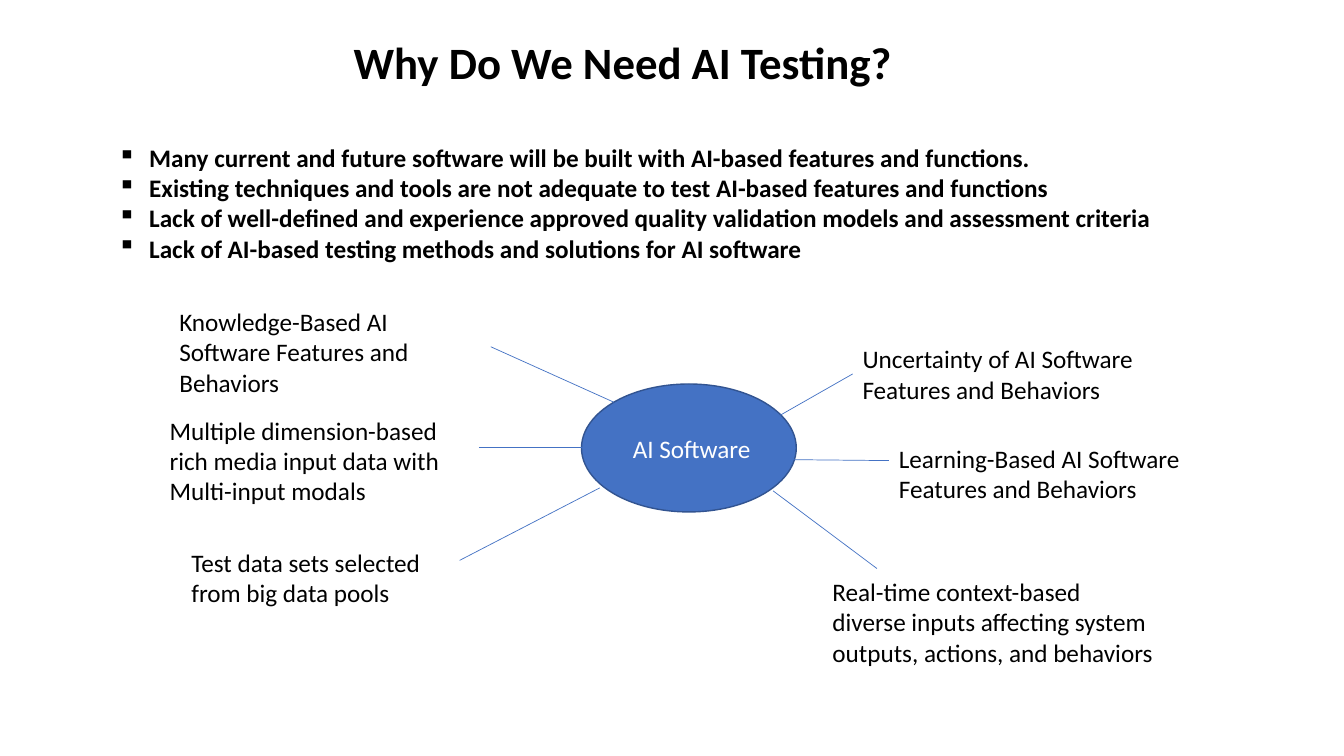
from dataclasses import dataclass

from lxml.etree import SubElement
from pptx import Presentation
from pptx.dml.color import RGBColor as Rgb
from pptx.enum.shapes import MSO_CONNECTOR as Link, MSO_SHAPE as Form
from pptx.enum.text import MSO_ANCHOR as Anchor, MSO_AUTO_SIZE as Fit, PP_ALIGN as Align
from pptx.oxml.ns import qn
from pptx.util import Pt


@dataclass(frozen=True)
class Theme:
    font: str = "Calibri"
    ink: str = "000000"
    pale: str = "FFFFFF"
    blue: str = "4472C4"
    edge: str = "325491"
    head: float = 32
    body: float = 18
    indent: float = 22.5
    rim: float = 1
    thin: float = 0.5


THEME = Theme()

POINTS = [
    "Many current and future software will be built with AI-based features and functions.",
    "Existing techniques and tools are not adequate to test AI-based features and functions",
    "Lack of well-defined and experience approved quality validation models and assessment criteria",
    "Lack of AI-based testing methods and solutions for AI software",
]

LABELS = [
    (495, 27, 223, ["Uncertainty of AI Software", "Features and Behaviors"]),
    (521, 98.2, 237, ["Learning-Based AI Software", "Features and Behaviors"]),
    (7, 0.3, 275, ["Knowledge-Based AI", "Software Features and", "Behaviors"]),
    (0, 78, 220, ["Multiple dimension-based", "rich media input data with", "Multi-input modals"]),
    (15.6, 172.4, 190, ["Test data sets selected", "from big data pools"]),
    (473.5, 193.2, 267, ["Real-time context-based", "diverse inputs affecting system",
                         "outputs, actions, and behaviors"]),
]

SPOKES = [
    (236.6, 32.7, 324.5, 72.3),
    (443.3, 81.6, 495.1, 52.1),
    (446.9, 113.3, 521, 114),
    (438.2, 135.6, 512.4, 191.1),
    (214.3, 185.3, 314.4, 133.5),
    (228, 104.7, 301.4, 104.7),
]


def write(frame, lines, size=THEME.body, color=THEME.ink, bold=False,
          align=Align.LEFT, bullet=None):
    frame.word_wrap = True
    for i, line in enumerate(lines):
        para = frame.paragraphs[0] if i == 0 else frame.add_paragraph()
        para.alignment = align
        run = para.add_run()
        run.text = line
        font = run.font
        font.name, font.size, font.bold = THEME.font, Pt(size), bold
        font.color.rgb = Rgb.from_string(color)
        if bullet:
            props = para._p.get_or_add_pPr()
            props.set("marL", str(Pt(THEME.indent)))
            props.set("indent", str(-Pt(THEME.indent)))
            SubElement(props, qn("a:buChar")).set("char", bullet)


def add_text(slide, box, lines, **style):
    frame = slide.shapes.add_textbox(*map(Pt, box)).text_frame
    write(frame, lines, **style)
    frame.auto_size = Fit.SHAPE_TO_FIT_TEXT


def add_title(slide, box):
    add_text(slide, box, ["Why Do We Need AI Testing?"], size=THEME.head, bold=True)


def add_points(slide, box):
    add_text(slide, box, POINTS, bold=True, bullet="▪")


def add_hub(slide, box):
    hub = slide.shapes.add_shape(Form.OVAL, *map(Pt, box))
    hub.shadow.inherit = False
    hub.fill.solid()
    hub.fill.fore_color.rgb = Rgb.from_string(THEME.blue)
    hub.line.color.rgb = Rgb.from_string(THEME.edge)
    hub.line.width = Pt(THEME.rim)
    hub.text_frame.vertical_anchor = Anchor.MIDDLE
    write(hub.text_frame, [" AI Software"], color=THEME.pale, align=Align.CENTER)


def add_spoke(slide, ends):
    spoke = slide.shapes.add_connector(Link.STRAIGHT, *map(Pt, ends))
    spoke.line.color.rgb = Rgb.from_string(THEME.blue)
    spoke.line.width = Pt(THEME.thin)
    SubElement(spoke._element.spPr, qn("a:effectLst"))


def add_map(slide, box):
    left, top = box[:2]
    add_hub(slide, (left + 301.4, top + 59.3, 153.4, 91.4))
    for x, y, width, lines in LABELS:
        high = 7.2 + 21.97 * len(lines)
        add_text(slide, (left + x, top + y, width, high), lines)
    for x1, y1, x2, y2 in SPOKES:
        add_spoke(slide, (left + x1, top + y1, left + x2, top + y2))


def main():
    deck = Presentation()
    deck.slide_width, deck.slide_height = Pt(960), Pt(540)
    slide = deck.slides.add_slide(deck.slide_layouts[6])
    add_title(slide, (245.5, 20.9, 447, 46))
    add_points(slide, (77, 98, 831, 94.3))
    add_map(slide, (114, 215, 758, 266))
    deck.save("out.pptx")


if __name__ == "__main__":
    main()
